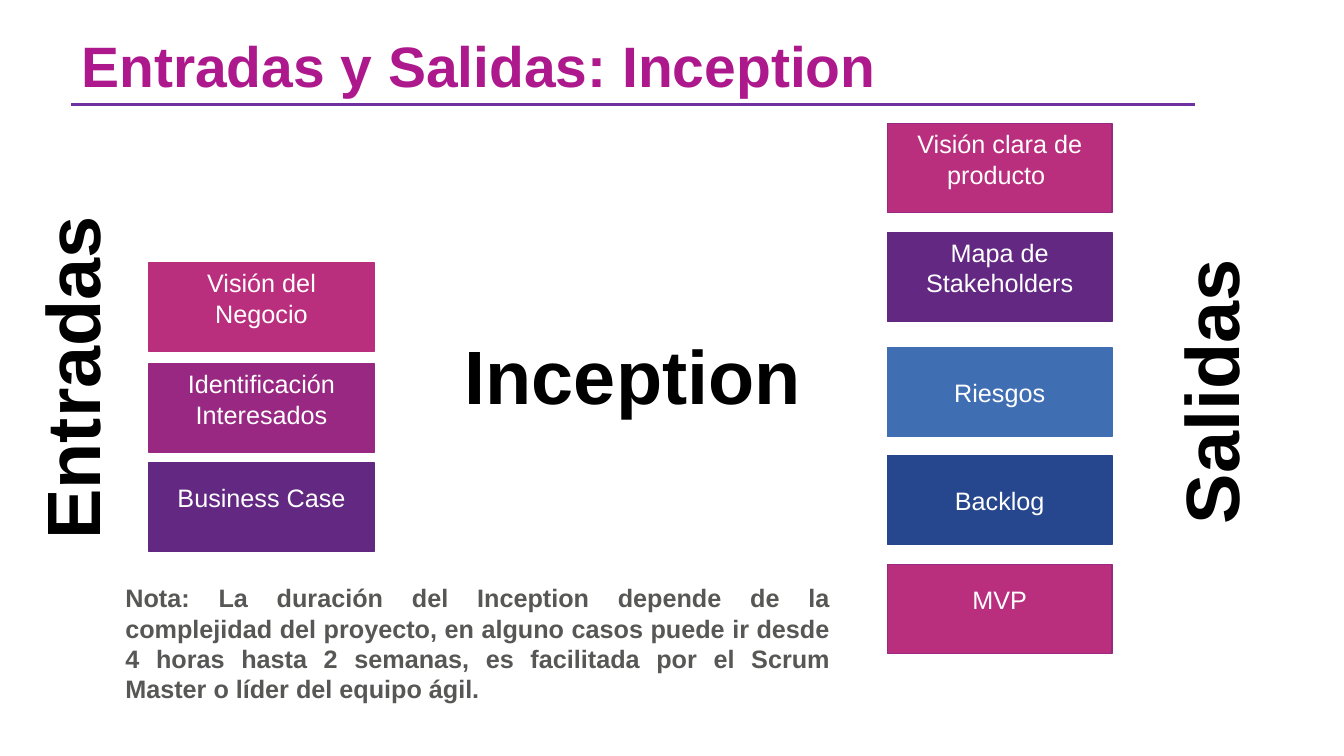
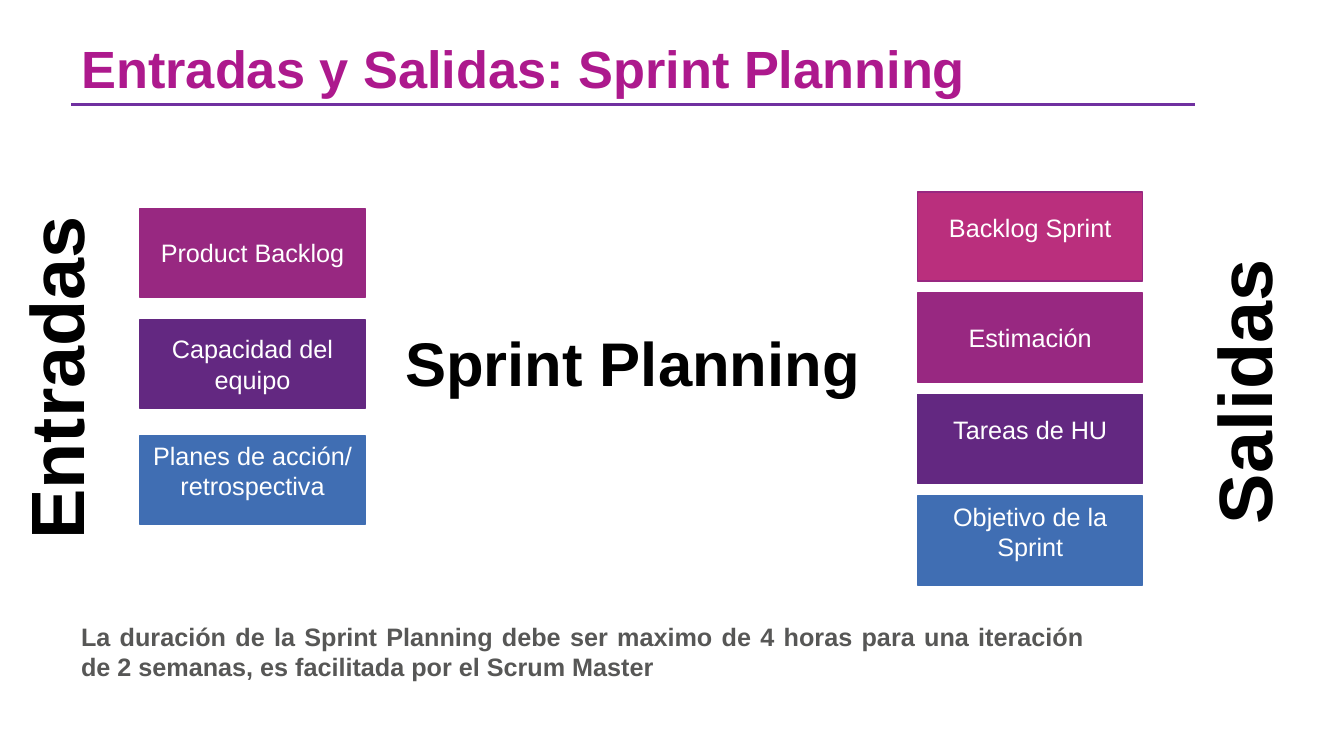
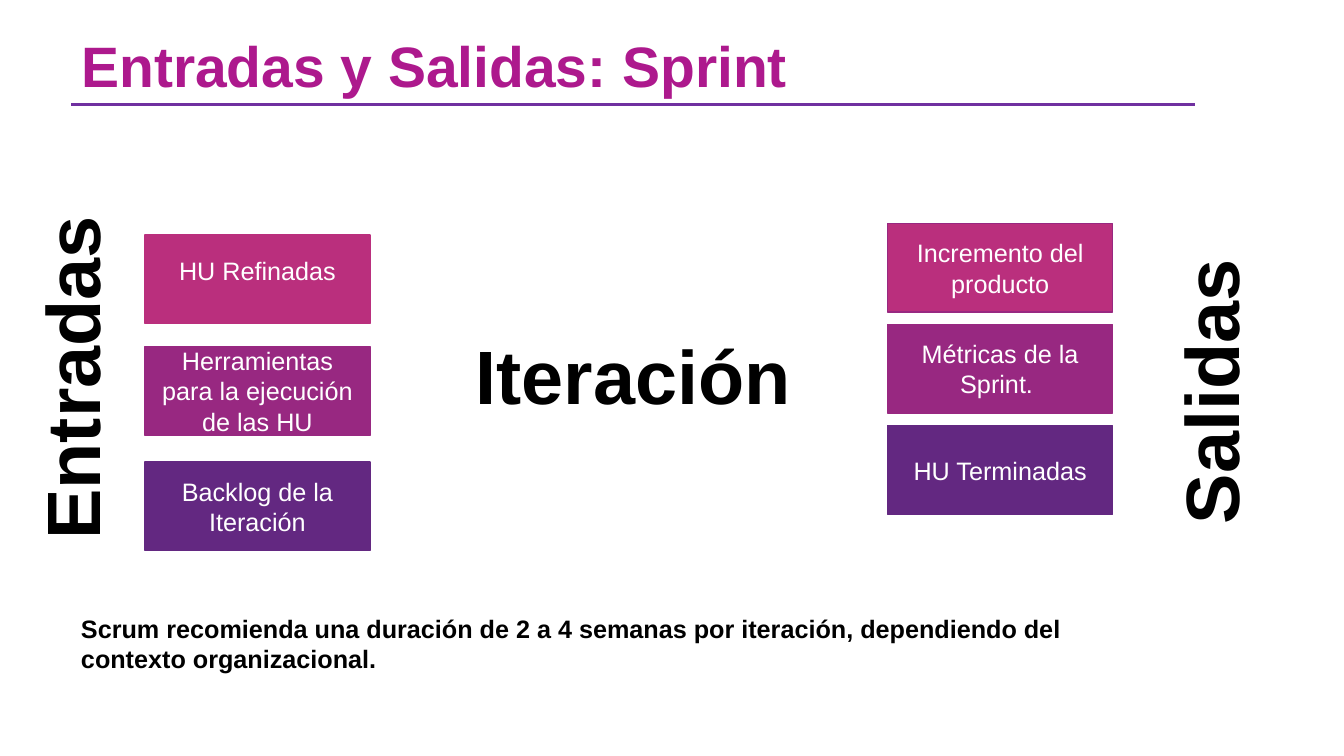
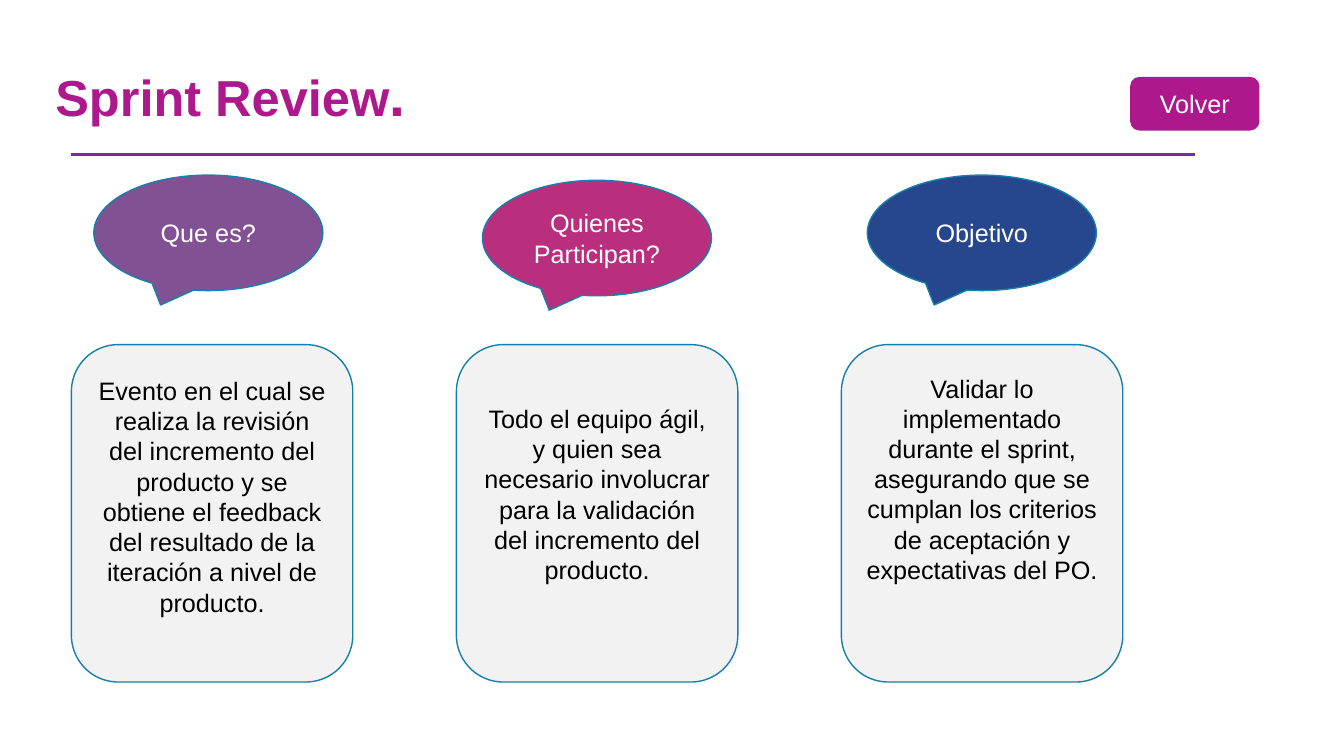
"""Builds four slides on the inputs and outputs of agile events."""
from pptx import Presentation
from pptx.dml.color import RGBColor
from pptx.enum.shapes import MSO_CONNECTOR, MSO_SHAPE
from pptx.enum.text import MSO_ANCHOR, PP_ALIGN
from pptx.oxml.ns import qn
from pptx.util import Pt
from lxml import etree

COLORS = {
    "title": "AD198D", "rule": "7030A0", "pink": "BA2F7D", "magenta": "982881",
    "purple": "632881", "blue": "406EB3", "navy": "26478D", "lilac": "825193",
    "teal": "1580A9", "card": "F2F2F2", "gray": "575756", "black": "000000",
    "white": "FFFFFF",
}
FONT = "Arial"
BOX_WIDTH, BOX_HEIGHT = 160.6, 63.4
LIFT = 13.2


def write(shape, *runs, color="white", bold=False, align=PP_ALIGN.CENTER,
          anchor=MSO_ANCHOR.MIDDLE, wrap=True, spacing=None, lift=0):
    """Fill a shape with one paragraph made of (text, size) runs."""
    frame = shape.text_frame
    frame.word_wrap = wrap
    frame.vertical_anchor = anchor
    frame.margin_bottom = Pt(3.6 + lift)
    paragraph = frame.paragraphs[0]
    paragraph.alignment = align
    if spacing:
        paragraph.line_spacing = spacing
    for text, size in runs:
        run = paragraph.add_run()
        run.text = text
        run.font.name = FONT
        run.font.size = Pt(size)
        run.font.bold = bold
        run.font.color.rgb = RGBColor.from_string(COLORS[color])


def add_block(slide, kind, left, top, width, height, fill, outline):
    """Add a filled preset shape with a thin outline and no shadow."""
    block = slide.shapes.add_shape(kind, Pt(left), Pt(top), Pt(width), Pt(height))
    block.shadow.inherit = False
    block.fill.solid()
    block.fill.fore_color.rgb = RGBColor.from_string(COLORS[fill])
    block.line.color.rgb = RGBColor.from_string(COLORS[outline])
    block.line.width = Pt(1)
    return block


prs = Presentation()
prs.slide_width, prs.slide_height = Pt(960), Pt(540)

headers = [
    ([("Entradas y Salidas: Inception", 40.7)], 51, 30.2, 0.7, 74.4),
    ([("Entradas y Salidas: Sprint Planning", 37.4)], 51, 30.2, 0.8, 74.4),
    ([("Entradas y Salidas: Sprint", 40.7)], 51, 30.2, 0.7, 74.4),
    ([("Sprint Review", 36.1), (".", 40.7)], 32.4, 51.1, 0.7, 110.2),
]
slides = []
for title_runs, left, top, spacing, rule_top in headers:
    slide = prs.slides.add_slide(prs.slide_layouts[6])
    slides.append(slide)
    rule = slide.shapes.add_connector(
        MSO_CONNECTOR.STRAIGHT, Pt(51), Pt(rule_top), Pt(853.5), Pt(rule_top))
    rule.line.color.rgb = RGBColor.from_string(COLORS["rule"])
    rule.line.width = Pt(2.25)
    etree.SubElement(rule._element.spPr, qn("a:effectLst"))
    title = slide.shapes.add_textbox(Pt(left), Pt(top), Pt(744), Pt(44))
    write(title, *title_runs, color="title", bold=True, align=PP_ALIGN.LEFT,
          spacing=spacing)

events = [
    {
        "name": ("Inception", 54), "name_frame": (323.6, 231.1, 257, 72.7),
        "label_lefts": (-73.2, 761.4),
        "note": "Nota: La duración del Inception depende de la complejidad del proyecto, "
                "en alguno casos puede ir desde 4 horas hasta 2 semanas, es facilitada "
                "por el Scrum Master o líder del equipo ágil.",
        "note_frame": (82.5, 412.6, 517.6, 94.3),
        "note_color": "gray", "note_align": PP_ALIGN.JUSTIFY,
        "input_left": 106.5, "output_left": 633.8,
        "inputs": [
            ("Visión del Negocio", 187.7, "pink", LIFT),
            ("Identificación Interesados", 259.8, "magenta", LIFT),
            ("Business Case", 330.4, "purple", LIFT),
        ],
        "outputs": [
            ("Visión clara de producto ", 88.4, "pink", LIFT),
            ("Mapa de Stakeholders", 166.1, "purple", LIFT),
            ("Riesgos", 248.3, "blue", 0),
            ("Backlog", 325.4, "navy", 0),
            ("MVP", 403.2, "pink", LIFT),
        ],
    },
    {
        "name": ("Sprint Planning", 44), "name_frame": (280.8, 228.6, 342.7, 60.5),
        "label_lefts": (-85, 784.8),
        "note": "La duración de la Sprint Planning debe ser maximo de 4 horas para una "
                "iteración de 2 semanas, es facilitada por el Scrum Master",
        "note_frame": (50.8, 440, 730.8, 51),
        "note_color": "gray", "note_align": PP_ALIGN.JUSTIFY,
        "input_left": 100.1, "output_left": 655.6,
        "inputs": [
            ("Product Backlog", 148.9, "magenta", 0),
            ("Capacidad del equipo", 228.2, "purple", 0),
            ("Planes de acción/ retrospectiva", 311.1, "blue", LIFT),
        ],
        "outputs": [
            ("Backlog Sprint", 137.2, "pink", LIFT),
            ("Estimación", 209.4, "magenta", 0),
            ("Tareas de HU", 281.8, "purple", LIFT),
            ("Objetivo de la Sprint", 354.4, "blue", LIFT),
        ],
    },
    {
        "name": ("Iteración", 54), "name_frame": (331.2, 231.1, 242, 72.7),
        "label_lefts": (-73.2, 761.4),
        "note": "Scrum recomienda una duración de 2 a 4 semanas por iteración, "
                "dependiendo del contexto organizacional.",
        "note_frame": (50.8, 434.4, 758.2, 51),
        "note_color": "black", "note_align": PP_ALIGN.LEFT,
        "input_left": 103.6, "output_left": 634.1,
        "inputs": [
            ("HU Refinadas", 167.8, "pink", LIFT),
            ("Herramientas para la ejecución de las HU", 247.5, "magenta", 0),
            ("Backlog de la Iteración", 330, "purple", 0),
        ],
        "outputs": [
            ("Incremento del producto", 159.6, "pink", 0),
            ("Métricas de la Sprint. ", 231.7, "magenta", 0),
            ("HU Terminadas", 304, "purple", 0),
        ],
    },
]
for slide, event in zip(slides, events):
    for side in ("input", "output"):
        for text, top, fill, lift in event[side + "s"]:
            outline = "magenta" if side == "output" and fill == "pink" else fill
            box = add_block(slide, MSO_SHAPE.RECTANGLE, event[side + "_left"], top,
                            BOX_WIDTH, BOX_HEIGHT, fill, outline)
            write(box, (text, 18), lift=lift)

    input_left, output_left = event["label_lefts"]
    for run, frame, rotation in (
        (event["name"], event["name_frame"], 0),
        (("Entradas", 54), (input_left, 233.6, 247.7, 72.7), 270),
        (("Salidas", 54), (output_left, 243.4, 205.2, 72.7), 270),
    ):
        label = slide.shapes.add_textbox(*map(Pt, frame))
        label.rotation = rotation
        write(label, run, color="black", bold=True, anchor=MSO_ANCHOR.TOP, wrap=False)

    note = slide.shapes.add_textbox(*map(Pt, event["note_frame"]))
    write(note, (event["note"], 18), color=event["note_color"], bold=True,
          align=event["note_align"], anchor=MSO_ANCHOR.TOP)

review = slides[3]
questions = [
    ("Que es?", 67, 125.1, "lilac", 24.5,
     "Evento en el cual se realiza la revisión del incremento del producto y se "
     "obtiene el feedback del resultado de la iteración a nivel de producto."),
    ("Quienes Participan?", 344.6, 128.8, "pink", 27.5,
     "Todo el equipo ágil, y quien sea necesario involucrar para la validación del "
     "incremento del producto."),
    ("Objetivo", 619.5, 125.1, "navy", 49.5,
     "Validar lo implementado durante el sprint, asegurando que se cumplan los "
     "criterios de aceptación y expectativas del PO."),
]
for column, (question, left, top, fill, lift, answer) in enumerate(questions):
    callout = add_block(review, MSO_SHAPE.OVAL_CALLOUT, left, top, 163.6, 82.5,
                        fill, "teal")
    write(callout, (question, 18))
    card = add_block(review, MSO_SHAPE.FLOWCHART_ALTERNATE_PROCESS,
                     51 + 275 * column, 246.2, 201, 241, "card", "teal")
    write(card, (answer, 18), color="black", lift=lift)

back_button = add_block(review, MSO_SHAPE.ROUNDED_RECTANGLE, 807.8, 55.4, 91.4, 37.4,
                        "title", "title")
write(back_button, ("Volver", 18))

prs.save("out.pptx")
